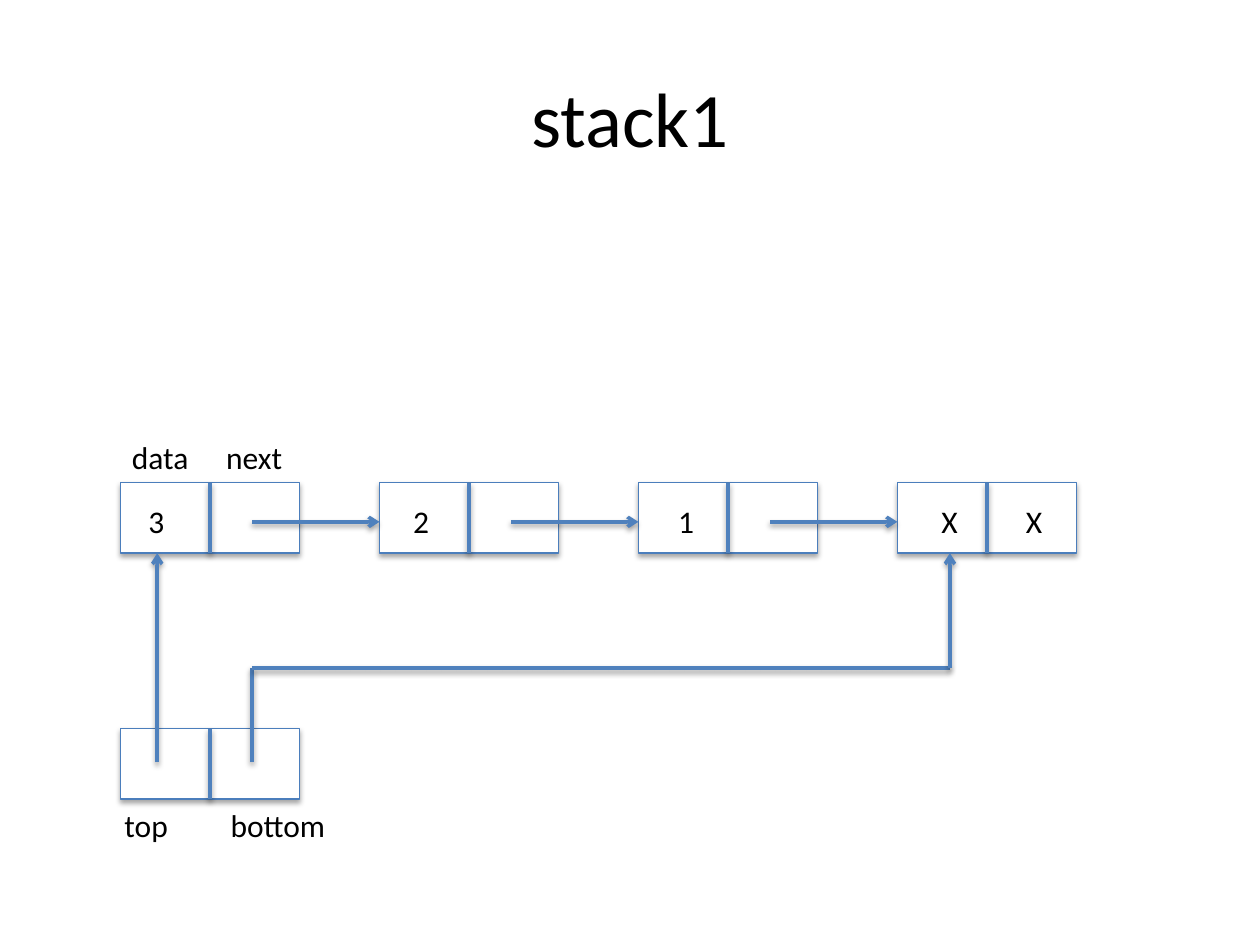
from pptx import Presentation
from pptx.dml.color import RGBColor
from pptx.enum.shapes import MSO_CONNECTOR as Connector, MSO_SHAPE as Shape
from pptx.enum.text import MSO_ANCHOR as Anchor, MSO_AUTO_SIZE as AutoSize, PP_ALIGN as Align
from pptx.oxml import parse_xml
from pptx.oxml.ns import nsdecls, qn
from pptx.util import Cm, Pt

BLACK = RGBColor(0x00, 0x00, 0x00)
WHITE = RGBColor(0xFF, 0xFF, 0xFF)
OUTLINE = RGBColor(0x4B, 0x7E, 0xBC)
BLUE = RGBColor(0x4F, 0x81, 0xBD)
FONT = "Calibri"

# Content; all lengths in centimetres
TITLE = "stack1"
NODE_COUNT = 4
NODE_LEFT, NODE_TOP, NODE_PITCH = 2.43, 9.73, 5.22
NODE_WIDTH, NODE_HEIGHT = 3.61, 1.42
NODE_BOTTOM = NODE_TOP + NODE_HEIGHT
STACK_TOP = 14.69
LINK_Y, LINK_OFFSET = 10.52, 2.65
TOP_X, BOTTOM_X, SENTINEL_X = 3.17, 5.08, 19.15
POINTER_Y, BEND_Y = 15.37, 13.47

LABEL_Y, VALUE_Y, POINTER_LABEL_Y = 8.71, 10.0, 16.13
LABELS = [  # text, left, top, width
    ("data", 2.41, LABEL_Y, 1.68), ("next", 4.31, LABEL_Y, 1.65),
    ("3", 2.74, VALUE_Y, 0.83), ("2", 8.08, VALUE_Y, 0.83),
    ("1", 13.42, VALUE_Y, 0.83),
    ("X", 18.73, VALUE_Y, 0.83), ("X", 20.43, VALUE_Y, 0.83),
    ("top", 2.26, POINTER_LABEL_Y, 1.4), ("bottom", 4.4, POINTER_LABEL_Y, 2.44),
]


def add_shadow(shape, distance, opacity):
    shape._element.spPr.append(parse_xml(
        f'<a:effectLst {nsdecls("a")}><a:outerShdw blurRad="{Pt(3.1)}" '
        f'dist="{Pt(distance)}" dir="5400000" rotWithShape="0">'
        f'<a:srgbClr val="{BLACK}"><a:alpha val="{opacity * 1000}"/></a:srgbClr>'
        '</a:outerShdw></a:effectLst>'))


def add_line(shapes, start, end, arrow=False):
    line = shapes.add_connector(Connector.STRAIGHT, *map(Cm, start + end))
    line.line.color.rgb = BLUE
    line.line.width = Pt(2)
    if arrow:
        outline = line._element.spPr.find(qn("a:ln"))
        outline.append(parse_xml(f'<a:tailEnd {nsdecls("a")} type="arrow"/>'))
    add_shadow(line, 1.6, 38)


def add_node(shapes, left, top):
    parts = shapes.add_group_shape().shapes
    box = parts.add_shape(Shape.RECTANGLE, Cm(left), Cm(top), Cm(NODE_WIDTH), Cm(NODE_HEIGHT))
    box.fill.solid()
    box.fill.fore_color.rgb = WHITE
    box.line.color.rgb = OUTLINE
    box.line.width = Pt(0.75)
    add_shadow(box, 1.8, 35)
    middle = left + NODE_WIDTH / 2
    add_line(parts, (middle, top), (middle, top + NODE_HEIGHT))


def write(frame, text, size):
    frame.text = text
    font = frame.paragraphs[0].runs[0].font
    font.name, font.size, font.color.rgb = FONT, Pt(size), BLACK


def add_label(shapes, text, left, top, width):
    box = shapes.add_textbox(Cm(left), Cm(top), Cm(width), Cm(1.02))
    box.text_frame.word_wrap = False
    box.text_frame.auto_size = AutoSize.SHAPE_TO_FIT_TEXT
    write(box.text_frame, text, 18)


def main():
    deck = Presentation()
    deck.slide_width, deck.slide_height = Cm(25.4), Cm(19.05)
    page = deck.slides.add_slide(deck.slide_layouts[5])
    shapes = page.shapes

    # Title
    title = shapes.title
    title.left, title.top, title.width, title.height = map(Cm, (1.27, 0.76, 22.86, 3.18))
    title.text_frame.vertical_anchor = Anchor.MIDDLE
    write(title.text_frame, TITLE, 44)
    title.text_frame.paragraphs[0].alignment = Align.CENTER

    # List nodes and the stack's own pair of pointers
    lefts = [NODE_LEFT + i * NODE_PITCH for i in range(NODE_COUNT)]
    for left in lefts:
        add_node(shapes, left, NODE_TOP)
    add_node(shapes, NODE_LEFT, STACK_TOP)

    # Links from each node to the next
    for left, following in zip(lefts, lefts[1:]):
        add_line(shapes, (left + LINK_OFFSET, LINK_Y), (following, LINK_Y), arrow=True)

    # Top pointer, then the bent bottom pointer
    add_line(shapes, (TOP_X, POINTER_Y), (TOP_X, NODE_BOTTOM), arrow=True)
    bends = [(BOTTOM_X, POINTER_Y), (BOTTOM_X, BEND_Y),
             (SENTINEL_X, BEND_Y), (SENTINEL_X, NODE_BOTTOM)]
    for start, end in zip(bends, bends[1:]):
        add_line(shapes, start, end, arrow=end == bends[-1])

    # Labels and values
    for label in LABELS:
        add_label(shapes, *label)

    deck.save("out.pptx")


if __name__ == "__main__":
    main()
